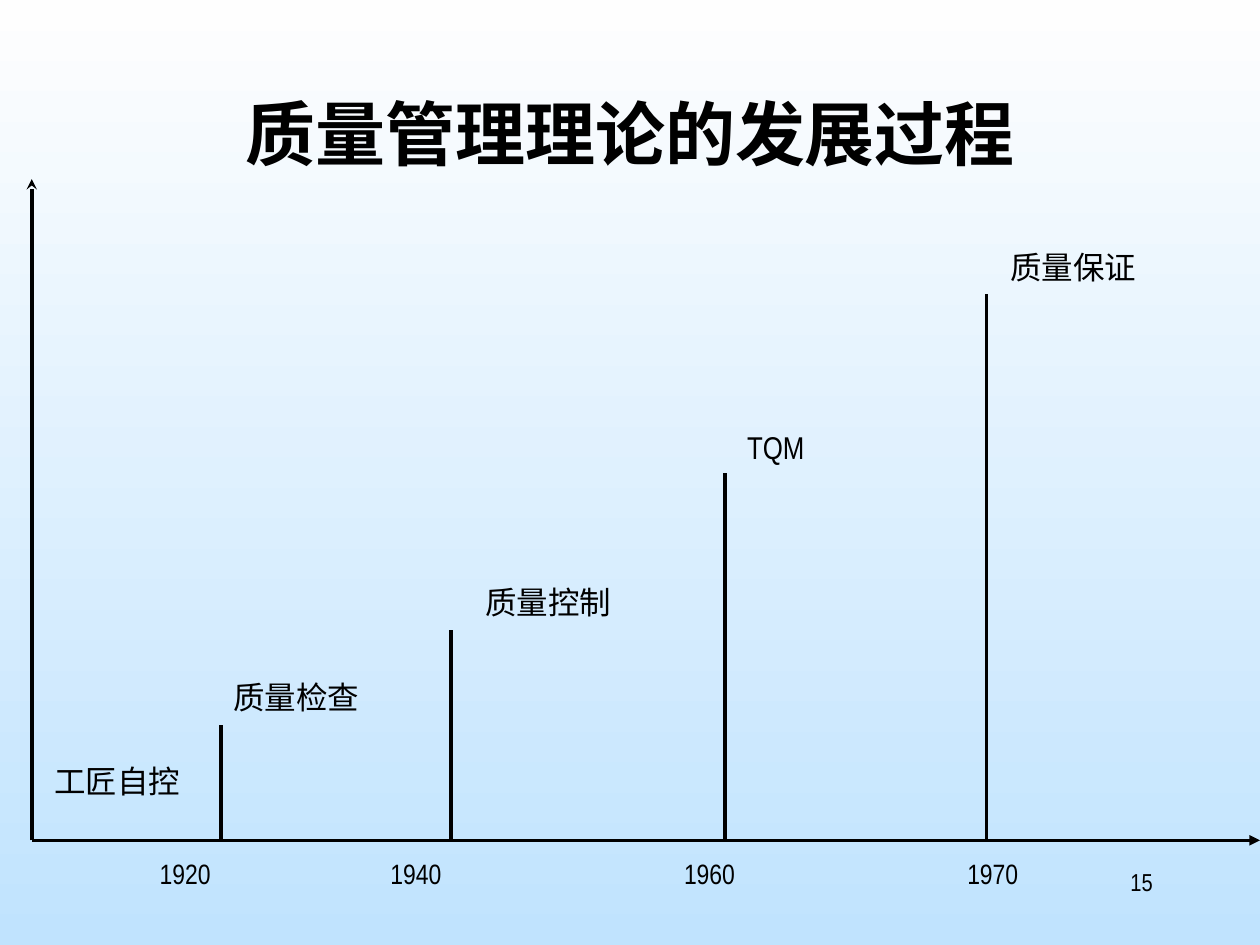
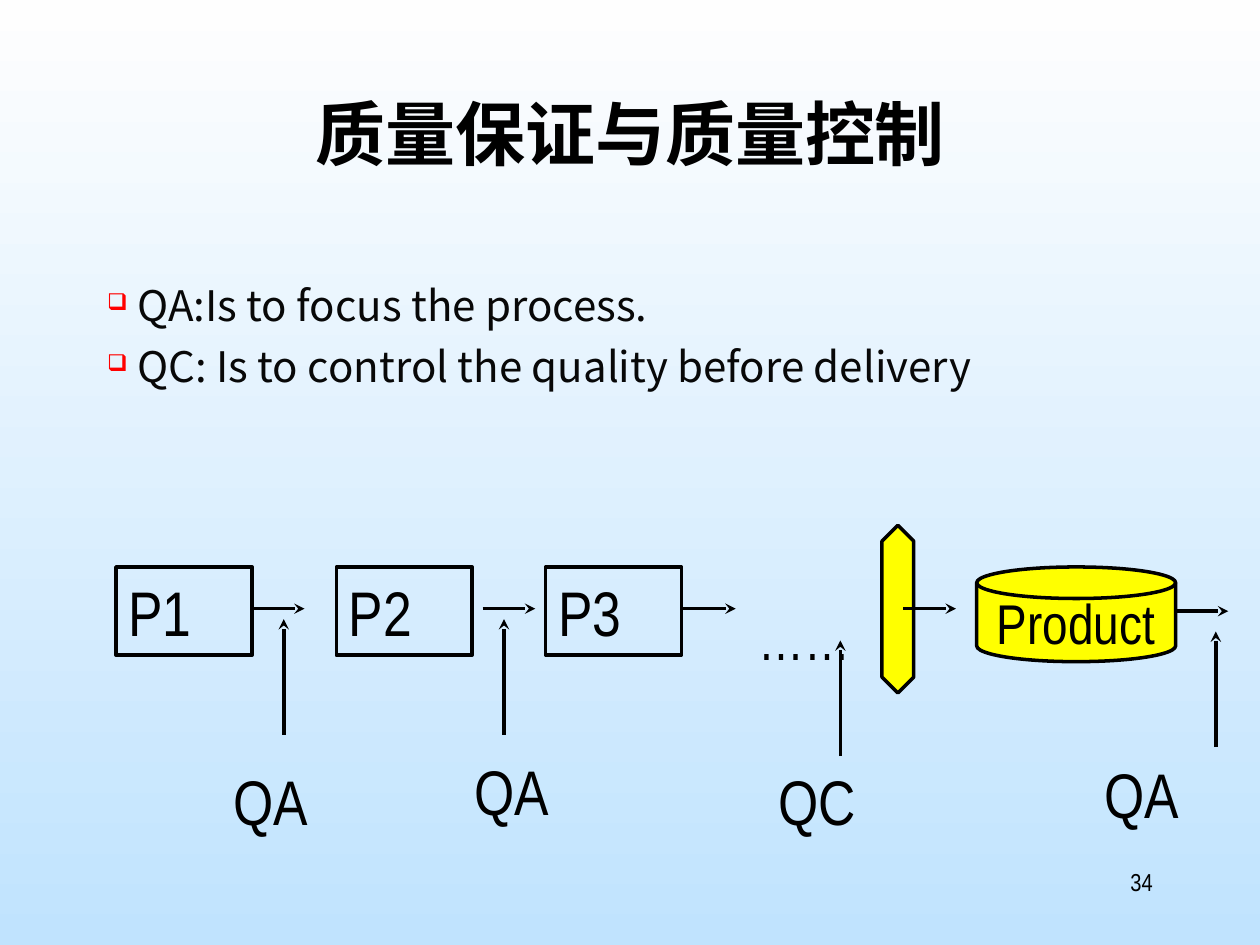
from dataclasses import dataclass

from lxml import etree
from pptx import Presentation
from pptx.dml.color import RGBColor
from pptx.enum.shapes import MSO_CONNECTOR, MSO_SHAPE
from pptx.enum.text import MSO_ANCHOR, MSO_AUTO_SIZE, PP_ALIGN
from pptx.oxml.ns import qn
from pptx.util import Cm, Pt

STRAIGHT = MSO_CONNECTOR.STRAIGHT
RECT = MSO_SHAPE.RECTANGLE
DISK = MSO_SHAPE.FLOWCHART_MAGNETIC_DISK
UP_DOWN = MSO_SHAPE.UP_DOWN_ARROW
TOP, MIDDLE = MSO_ANCHOR.TOP, MSO_ANCHOR.MIDDLE
LEFT, CENTER, RIGHT = PP_ALIGN.LEFT, PP_ALIGN.CENTER, PP_ALIGN.RIGHT
GROW, FIXED = MSO_AUTO_SIZE.SHAPE_TO_FIT_TEXT, MSO_AUTO_SIZE.NONE


@dataclass(frozen=True)
class Theme:
    latin: str = "Arial Narrow"
    cjk: str = "Noto Sans CJK SC"
    ink: str = "000000"
    body_ink: str = "080808"
    bullet: str = "FF0000"
    accent: str = "FFFF00"
    sky_top: str = "FEFEFE"
    sky_bottom: str = "C0E3FE"
    title: int = 40
    process: int = 36
    product: int = 32
    body: int = 24
    label: int = 18
    year: int = 16
    number: int = 14
    line: int = 2


def rgb(value):
    return RGBColor.from_string(value)


def cms(*values):
    return [Cm(v) for v in values]


class Deck:
    def __init__(self, theme):
        self.theme = theme
        self.prs = Presentation()
        self.prs.slide_width, self.prs.slide_height = cms(25.4, 19.05)
        self.s = None

    def slide(self, title, number, title_font=None):
        t = self.theme
        self.s = self.prs.slides.add_slide(self.prs.slide_layouts[6])
        fill = self.s.background.fill
        fill.gradient()
        fill.gradient_angle = 270
        for stop, color, position in zip(fill.gradient_stops, (t.sky_top, t.sky_bottom), (0, 1)):
            stop.color.rgb = rgb(color)
            stop.position = position
        self.text(title, (1.91, 1.7, 21.59, 3.18), size=t.title, font=title_font,
                  bold=True, align=CENTER, fit=FIXED)
        self.text(number, (18.21, 17.35, 5.28, 1.27), size=t.number, align=RIGHT, fit=FIXED)

    def add_run(self, p, text, size, font=None, ea=None, color=None, bold=False, align=LEFT):
        t = self.theme
        p.alignment = align
        r = p.add_run()
        r.text = text
        r.font.size = Pt(size)
        r.font.bold = bold
        r.font.color.rgb = rgb(color or t.ink)
        r.font.name = font or t.latin
        etree.SubElement(r._r.get_or_add_rPr(), qn("a:ea"), typeface=ea or t.cjk)

    def text(self, text, box, fit=GROW, **style):
        tf = self.s.shapes.add_textbox(*cms(*box)).text_frame
        tf.word_wrap = True
        tf.auto_size = fit
        self.add_run(tf.paragraphs[0], text, **style)

    def bullets(self, items, box):
        t = self.theme
        tf = self.s.shapes.add_textbox(*cms(*box)).text_frame
        tf.word_wrap = True
        for i, item in enumerate(items):
            p = tf.add_paragraph() if i else tf.paragraphs[0]
            pPr = p._p.get_or_add_pPr()
            pPr.set("marL", str(Cm(0.61)))
            pPr.set("indent", str(-Cm(0.61)))
            color = etree.SubElement(pPr, qn("a:buClr"))
            etree.SubElement(color, qn("a:srgbClr"), val=t.bullet)
            etree.SubElement(pPr, qn("a:buSzPct"), val="55000")
            etree.SubElement(pPr, qn("a:buChar"), char="❑")
            if i:
                p.space_before = Pt(6)
            self.add_run(p, item, t.body, font=t.cjk, color=t.body_ink)

    def shape(self, kind, box, fill=None, adjustments=(), text=None, anchor=TOP,
              wrap=True, **style):
        t = self.theme
        sp = self.s.shapes.add_shape(kind, *cms(*box))
        sp.shadow.inherit = False
        if fill:
            sp.fill.solid()
            sp.fill.fore_color.rgb = rgb(fill)
        else:
            sp.fill.background()
        sp.line.color.rgb = rgb(t.ink)
        sp.line.width = Pt(t.line)
        for i, value in enumerate(adjustments):
            sp.adjustments[i] = value
        if text:
            tf = sp.text_frame
            tf.word_wrap = wrap
            tf.vertical_anchor = anchor
            self.add_run(tf.paragraphs[0], text, **style)

    def line(self, x1, y1, x2, y2, head=None):
        t = self.theme
        cx = self.s.shapes.add_connector(STRAIGHT, *cms(x1, y1, x2, y2))
        cx.line.color.rgb = rgb(t.ink)
        cx.line.width = Pt(t.line)
        spPr = cx._element.spPr
        if head:
            etree.SubElement(spPr.find(qn("a:ln")), qn("a:tailEnd"), type=head)
        etree.SubElement(spPr, qn("a:effectLst"))


def history_slide(d):
    t = d.theme
    d.slide("质量管理理论的发展过程", "15")
    axis_x, axis_y = 0.64, 16.94
    d.line(axis_x, axis_y, 25.4, axis_y, head="triangle")
    d.line(axis_x, axis_y, axis_x, 3.61, head="stealth")

    for x, top in ((4.45, 14.61), (9.09, 12.7), (14.61, 9.53), (19.89, 5.92)):
        d.line(x, axis_y, x, top)

    stages = (("工匠自控", 0.84, 15.24), ("质量检查", 4.45, 13.54), ("质量控制", 9.53, 11.63),
              ("TQM", 14.81, 8.51), ("质量保证", 20.12, 4.88))
    for stage, x, y in stages:
        d.text(stage, (x, y, 3.18, 1.02), size=t.label)

    for year, x in (("1920", 2.97), ("1940", 7.62), ("1960", 13.54), ("1970", 19.25)):
        d.text(year, (x, 17.15, 3.38, 0.94), size=t.year)


def assurance_slide(d):
    t = d.theme
    d.slide("质量保证与质量控制", "34", title_font=t.cjk)
    d.bullets(("QA:Is to focus the process.", "QC: Is to control the quality before delivery"),
              (1.91, 5.51, 21.59, 2.74))

    for name, x in (("P1", 2.34), ("P2", 6.78), ("P3", 11)):
        d.shape(RECT, (x, 11.43, 2.74, 1.78), text=name, size=t.process)
    d.text("……", (15.04, 12.07, 2.74, 1.63), size=t.product, ea=t.latin)
    d.shape(UP_DOWN, (17.78, 10.59, 0.64, 3.38), fill=t.accent, adjustments=(0.5, 1.06))
    d.shape(DISK, (19.69, 11.43, 4.01, 1.91), fill=t.accent, text="Product",
            size=t.product, align=CENTER, anchor=MIDDLE, wrap=False)

    for x, y in ((5.08, 12.27), (9.73, 12.27), (13.77, 12.27), (18.21, 12.27), (23.7, 12.32)):
        d.line(x, y, x + 1.06, y, head="stealth")

    checks = (("QA", 5.72, 14.81, 4.45, 15.24), ("QA", 10.16, 14.81, 9.32, 15.04),
              ("QC", 16.94, 15.24, 15.44, 15.24), ("QA", 24.51, 15.06, 22.02, 15.11))
    for check, x, y, label_x, label_y in checks:
        d.line(x, y, x, y - 2.33, head="stealth")
        d.text(check, (label_x, label_y, 3.38, 1.78), size=t.process)


def main():
    d = Deck(Theme())
    history_slide(d)
    assurance_slide(d)
    d.prs.save("out.pptx")


if __name__ == "__main__":
    main()
